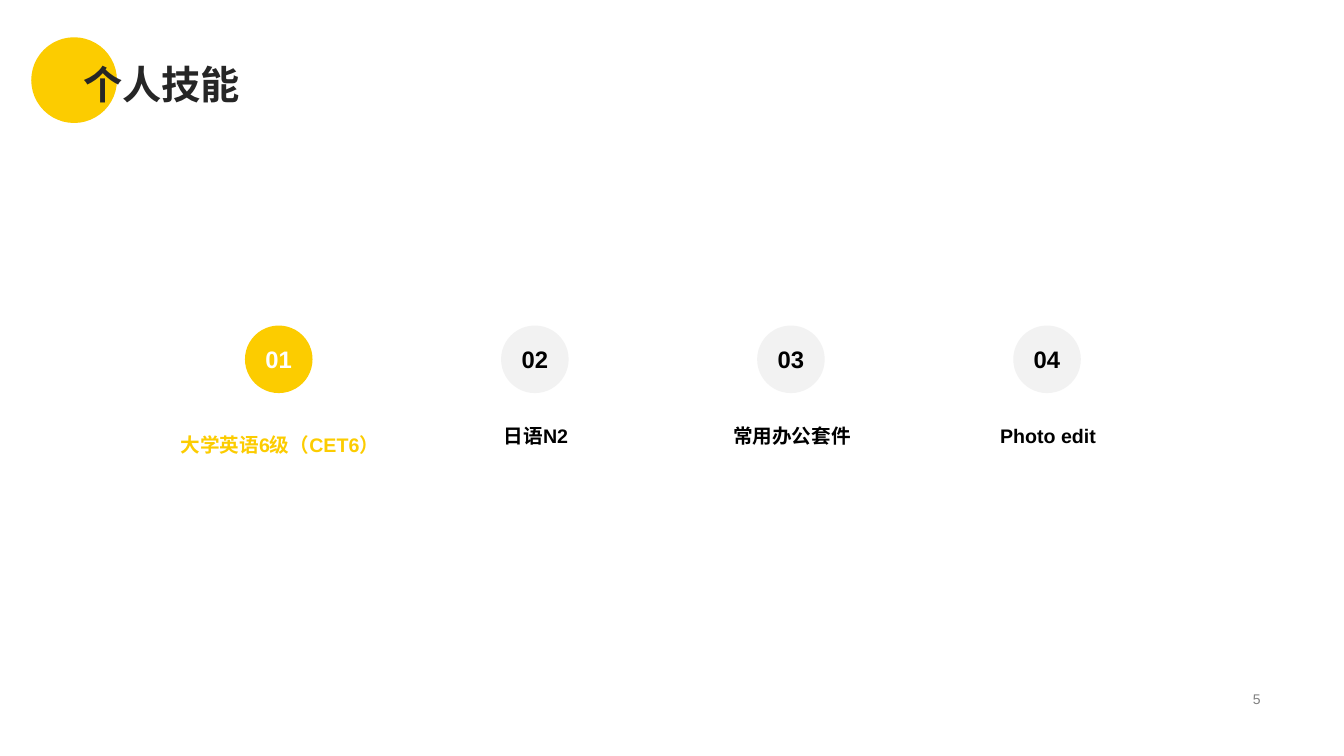
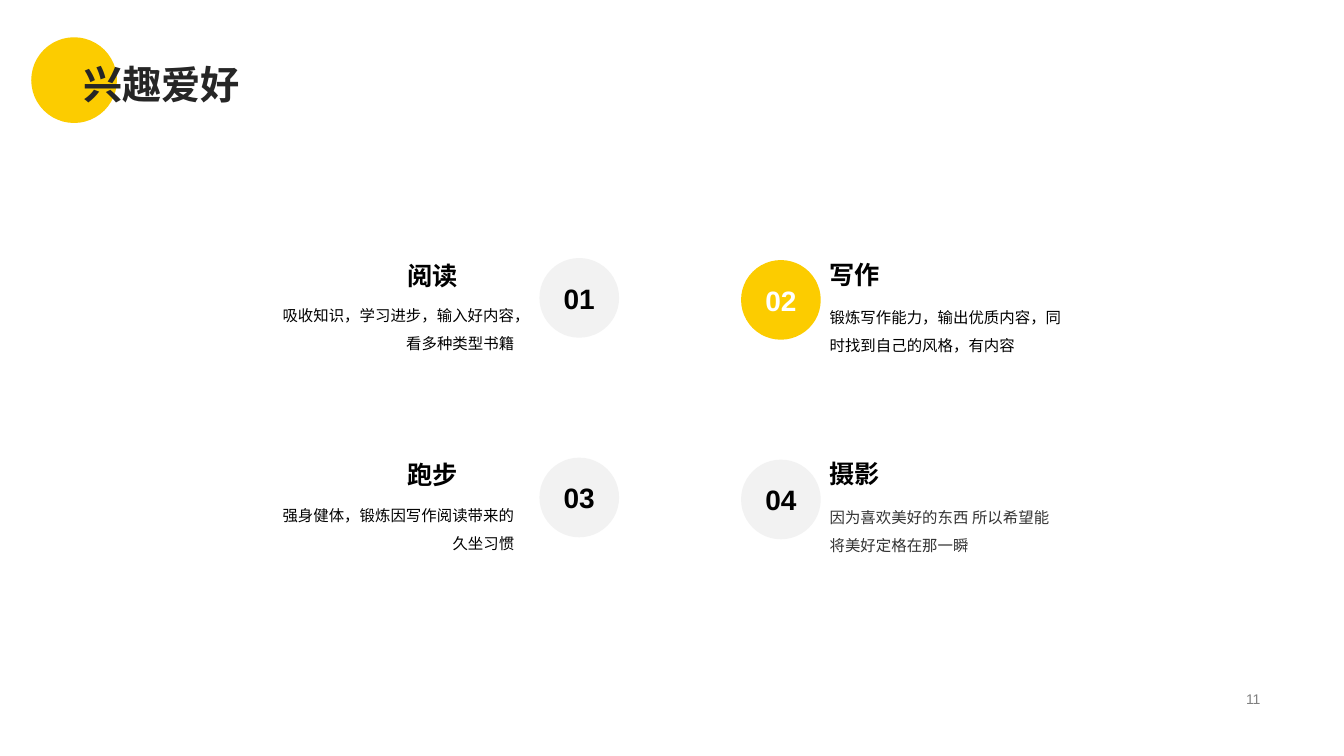
"""Build two slides: personal skills and hobbies."""
import pptx
import pptx.dml.color
import pptx.enum.lang
import pptx.enum.shapes
import pptx.enum.text
import pptx.util

Inches = pptx.util.Inches
RGB = pptx.dml.color.RGBColor
SHAPE = pptx.enum.shapes.MSO_SHAPE
ALIGN = pptx.enum.text.PP_ALIGN
ANCHOR = pptx.enum.text.MSO_ANCHOR
CHINESE = pptx.enum.lang.MSO_LANGUAGE_ID.SIMPLIFIED_CHINESE

GOLD = RGB(0xFC, 0xCC, 0x00)
PALE = RGB(0xF2, 0xF2, 0xF2)
WHITE = RGB(0xFF, 0xFF, 0xFF)
BLACK = RGB(0x00, 0x00, 0x00)
INK = RGB(0x26, 0x26, 0x26)
DARK = RGB(0x33, 0x33, 0x33)
GREY = RGB(0x80, 0x80, 0x80)

STYLES = {
    "title": {"size": 28, "bold": True, "color": INK, "space": 0.9, "anchor": ANCHOR.BOTTOM},
    "page": {"size": 10, "color": GREY, "align": ALIGN.RIGHT, "anchor": ANCHOR.MIDDLE},
    "label": {"size": 14, "bold": True, "align": ALIGN.CENTER, "space": 1.5, "inset": 0.15},
    "head": {"size": 18, "bold": True},
    "left": {"size": 11, "align": ALIGN.RIGHT, "space": 1.5},
    "right": {"size": 11, "space": 1.5},
    "skill": {"size": 17, "bold": True, "align": ALIGN.CENTER, "anchor": ANCHOR.MIDDLE, "inset": 0},
    "hobby": {"size": 20, "bold": True, "align": ALIGN.CENTER, "anchor": ANCHOR.MIDDLE, "inset": 0},
}


def write(slide, text, style, box, color=BLACK, shape=None):
    """Put styled text in a new text box or in the given shape."""
    look = {"bold": False, "color": color, "align": ALIGN.LEFT, "space": 1.0,
            "anchor": ANCHOR.TOP, "inset": 0.1} | STYLES[style]
    shape = shape or slide.shapes.add_textbox(*map(Inches, box))
    frame = shape.text_frame
    para = frame.paragraphs[0]
    run = para.add_run()
    run.text = text
    run.font.color.rgb = look["color"]
    inset = Inches(look["inset"])
    for item, values in (
        (frame, {"word_wrap": True, "vertical_anchor": look["anchor"],
                 "margin_left": inset, "margin_right": inset}),
        (para, {"alignment": look["align"], "line_spacing": look["space"]}),
        (run.font, {"name": "Arial", "size": pptx.util.Pt(look["size"]),
                    "bold": look["bold"], "language_id": CHINESE}),
    ):
        for name, value in values.items():
            setattr(item, name, value)


def disc(slide, left, top, size, fill, kind=SHAPE.OVAL):
    """Draw a plain filled disc."""
    shape = slide.shapes.add_shape(kind, *map(Inches, (left, top, size, size)))
    shape.shadow.inherit = False
    shape.fill.solid()
    shape.fill.fore_color.rgb = fill
    shape.line.fill.background()
    if kind == SHAPE.ROUNDED_RECTANGLE:
        shape.adjustments[0] = 0.5
    return shape


deck = pptx.Presentation()
deck.slide_width = Inches(13.33)
deck.slide_height = Inches(7.5)

pages = []
for title, number in (("个人技能", "5"), ("兴趣爱好", "11")):
    slide = deck.slides.add_slide(deck.slide_layouts[6])
    disc(slide, 0.31, 0.37, 0.85, GOLD)
    write(slide, title, "title", (0.73, 0, 11.87, 1.12))
    write(slide, number, "page", (9.42, 6.82, 3.18, 0.23))
    pages.append(slide)
skills, hobbies = pages

names = ("大学英语6级（CET6）", "日语N2", "常用办公套件", "Photo edit")
for i, name in enumerate(names):
    left = 1.6 + 2.54 * i
    first = i == 0
    write(skills, name, "label", (left, 4.13 if first else 4.04, 2.35, 0.41),
          GOLD if first else BLACK)
    dot = disc(skills, left + 0.83, 3.23, 0.67, GOLD if first else PALE)
    write(skills, f"{i + 1:02}", "skill", None, WHITE if first else BLACK, dot)

sides = (
    {"style": "left", "head": 3.94, "text": 2.69, "dot": 5.35, "tops": (2.53, 2.9, 2.56)},
    {"style": "right", "head": 8.13, "text": 8.13, "dot": 7.35, "tops": (2.52, 2.92, 2.58)},
)
items = (
    ("阅读", "吸收知识，学习进步，输入好内容，看多种类型书籍", BLACK),
    ("写作", "锻炼写作能力，输出优质内容，同时找到自己的风格，有内容", BLACK),
    ("跑步", "强身健体，锻炼因写作阅读带来的久坐习惯", BLACK),
    ("摄影", "因为喜欢美好的东西 所以希望能将美好定格在那一瞬", DARK),
)
for i, (head, text, color) in enumerate(items):
    row, col = divmod(i, 2)
    side = sides[col]
    high, mid, top = (y + 1.98 * row for y in side["tops"])
    lit = i == 1
    write(hobbies, head, "head", (side["head"], high, 1.51, 0.4))
    write(hobbies, text, side["style"], (side["text"], mid, 2.51, 0.54), color)
    dot = disc(hobbies, side["dot"], top, 0.79, GOLD if lit else PALE, SHAPE.ROUNDED_RECTANGLE)
    write(hobbies, f"{i + 1:02}", "hobby", None, WHITE if lit else BLACK, dot)

deck.save("out.pptx")
